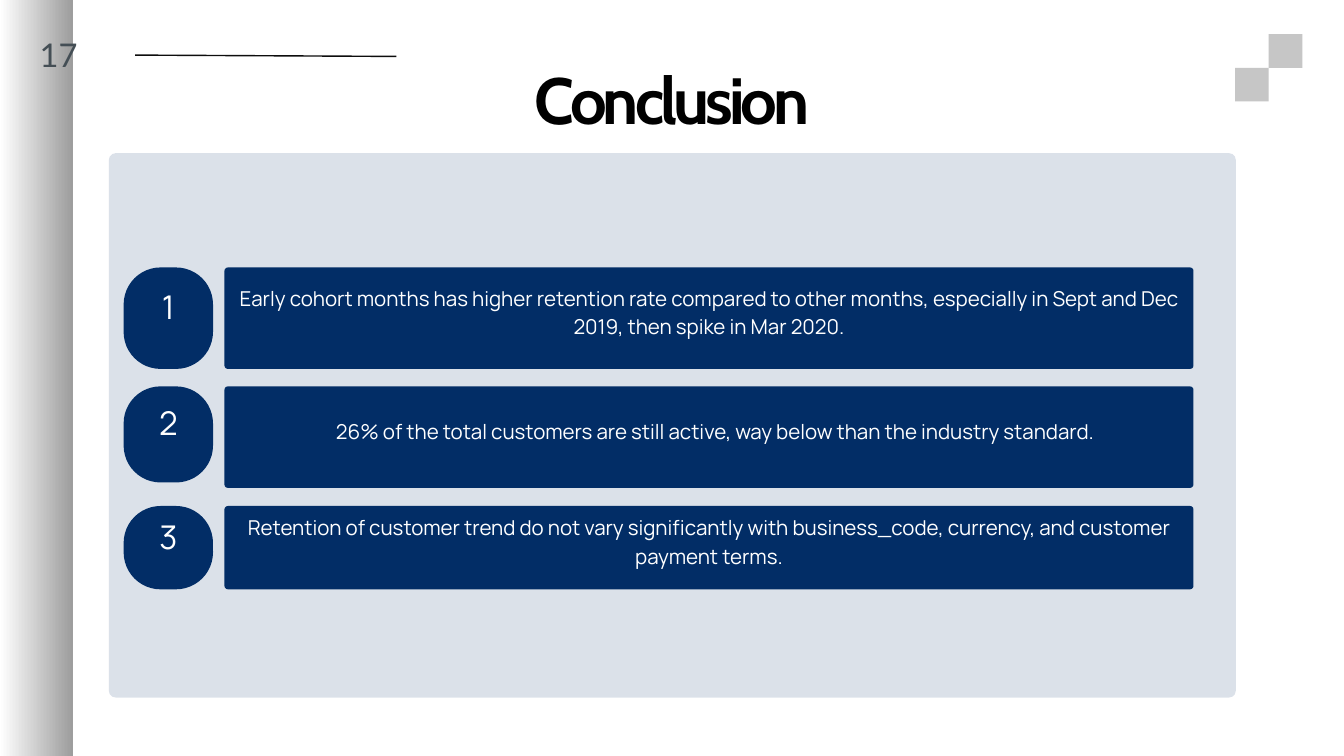
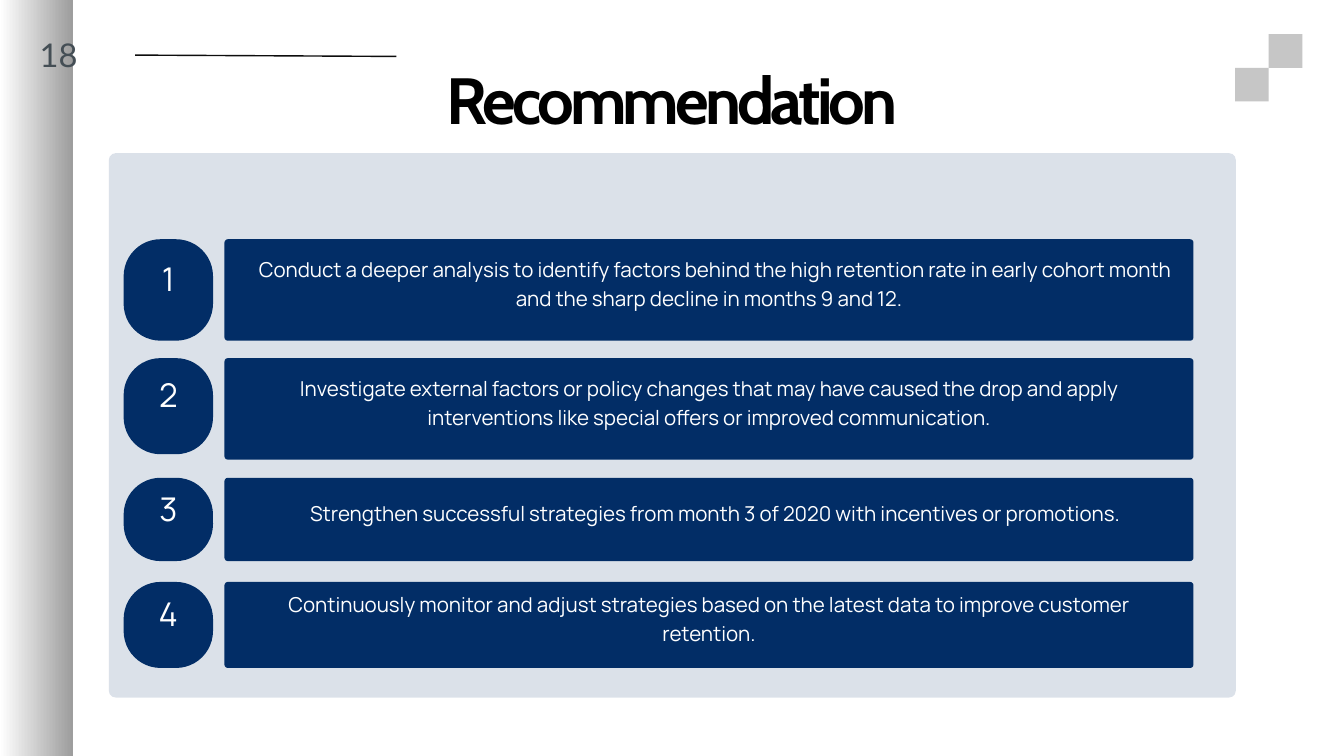
from pptx import Presentation
from pptx.dml.color import RGBColor
from pptx.enum.shapes import MSO_CONNECTOR as LINE, MSO_SHAPE as SHAPE
from pptx.enum.text import MSO_ANCHOR as ANCHOR, MSO_AUTO_SIZE as AUTO, PP_ALIGN as ALIGN
from pptx.oxml.ns import qn
from pptx.util import Inches, Pt
from lxml import etree

NAVY = RGBColor(0x02, 0x2D, 0x66)
WHITE = RGBColor(0xFF, 0xFF, 0xFF)
BLACK = RGBColor(0, 0, 0)
INK = RGBColor(0x0D, 0x0D, 0x0D)
SLATE = RGBColor(0x44, 0x4E, 0x55)
SILVER = RGBColor(0xC6, 0xC6, 0xC6)
GREY = RGBColor(0x9D, 0x9D, 0x9D)

ROWS = [(0, 1.51, 1.51), (1.77, 1.51, 1.43), (3.55, 1.24, 1.24), (5.1, 1.28, 1.28)]
PAGES = [
    ("Conclusion", "17", 3.98, [
        ("Early cohort months has higher retention rate compared to other months, "
         "especially in Sept and Dec 2019, then spike in Mar 2020.", 0),
        ("26% of the total customers are still active, way below than the industry standard.", 0.18),
        ("Retention of customer trend do not vary significantly with business_code, "
         "currency, and customer payment terms.", 0),
    ]),
    ("Recommendation", "18", 3.56, [
        ("Conduct a deeper analysis to identify factors behind the high retention rate "
         "in early cohort month and the sharp decline in months 9 and 12.", 0.18),
        ("Investigate external factors or policy changes that may have caused the drop and apply\v"
         "interventions like special offers or improved communication.", 0),
        ("Strengthen successful strategies from month 3 of 2020 with incentives or promotions.", 0.18),
        ("Continuously monitor and adjust strategies based on the latest data to improve customer\v"
         "retention.", 0),
    ]),
]


def block(slide, left, top, width, height, color, radius=0):
    kind = SHAPE.ROUNDED_RECTANGLE if radius else SHAPE.RECTANGLE
    shape = slide.shapes.add_shape(kind, Inches(left), Inches(top), Inches(width), Inches(height))
    shape.shadow.inherit = False
    shape.line.fill.background()
    shape.fill.solid()
    shape.fill.fore_color.rgb = color
    if radius:
        shape.adjustments[0] = radius / min(width, height)
    return shape


def write(box, text, font, size, color, lead, inset=0, align=ALIGN.CENTER, anchor=ANCHOR.TOP):
    frame = box.text_frame
    frame.word_wrap = True
    frame.auto_size = AUTO.NONE
    frame.vertical_anchor = anchor
    frame.margin_left = frame.margin_right = Inches(inset)
    frame.margin_top = frame.margin_bottom = Inches(inset)
    frame.text = text
    para = frame.paragraphs[0]
    para.alignment = align
    para.line_spacing = Pt(lead)
    para.font.name = font
    para.font.size = Pt(size)
    para.font.color.rgb = color
    return para


prs = Presentation()
prs.slide_width, prs.slide_height = Inches(20), Inches(11.25)

for name, page, start, items in PAGES:
    slide = prs.slides.add_slide(prs.slide_layouts[5])

    band = block(slide, 0, 0, 1.08, 11.25, GREY)
    band.fill.gradient()
    band.fill.gradient_angle = 0
    for stop, tone in zip(band.fill.gradient_stops, (WHITE, GREY)):
        stop.color.rgb = tone

    for left, top in ((18.88, 0.51), (18.38, 1.01)):
        block(slide, left, top, 0.5, 0.5, SILVER)

    panel = block(slide, 1.62, 2.28, 16.77, 8.1, NAVY, 0.1)
    tint = panel.fill._xPr.find(qn("a:solidFill"))[0]
    etree.SubElement(tint, qn("a:alpha")).set("val", "14000")

    title = slide.shapes.title
    title.left, title.top = Inches(5.97), Inches(0.68)
    title.width, title.height = Inches(8.07), Inches(1.31)
    para = write(title, name, "Cabin", 70, BLACK, 98)
    para.font.bold = True
    para.font._rPr.set("spc", "-420")

    for num, ((text, indent), (step, tall, pill)) in enumerate(zip(items, ROWS), 1):
        top = start + step
        cells = [
            (3.34, 14.42, tall, 0.05, 0.24, text, 22, 30.8, indent),
            (1.84, 1.33, pill, 0.55, 0.44, str(num), 35, 49, 0),
        ]
        for left, width, height, radius, lift, words, size, lead, shift in cells:
            block(slide, left, top, width, height, NAVY, radius)
            box = slide.shapes.add_textbox(
                Inches(left), Inches(top - lift), Inches(width), Inches(height + lift))
            para = write(box, words, "Manrope", size, WHITE, lead, 0.06, anchor=ANCHOR.MIDDLE)
            if shift:
                para._p.get_or_add_pPr().set("indent", str(Inches(shift)))

    rule = slide.shapes.add_connector(
        LINE.STRAIGHT, Inches(2.01), Inches(0.82), Inches(5.9), Inches(0.84))
    rule.line.color.rgb = INK
    rule.line.width = Pt(1.5)
    etree.SubElement(rule._element.spPr, qn("a:effectLst"))

    box = slide.shapes.add_textbox(Inches(0.59), Inches(0.42), Inches(1.06), Inches(0.7))
    write(box, page, "Lato", 35, SLATE, 49, align=ALIGN.LEFT)

prs.save("out.pptx")
